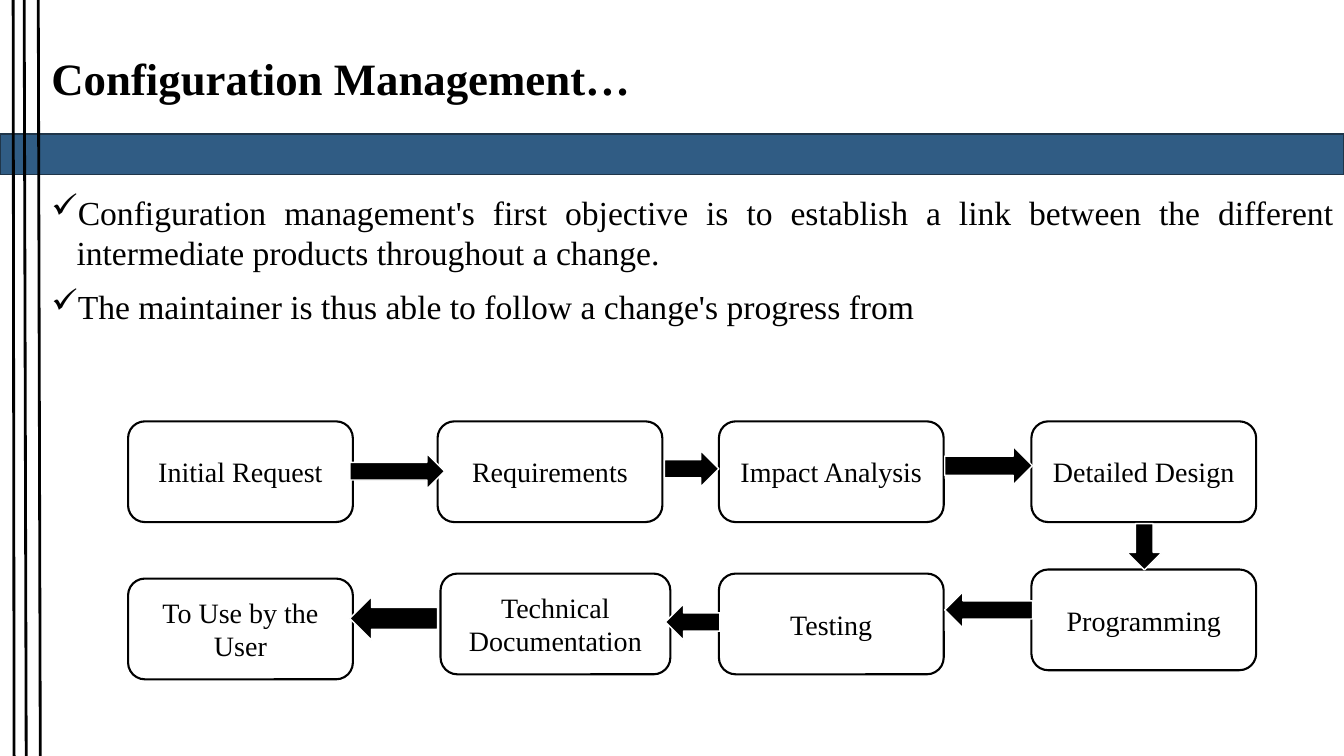
from lxml.etree import SubElement
from pptx import Presentation
from pptx.dml.color import RGBColor
from pptx.enum.shapes import MSO_CONNECTOR as Connector, MSO_SHAPE as Shape
from pptx.enum.text import MSO_ANCHOR as Anchor, PP_ALIGN as Align
from pptx.oxml.ns import qn
from pptx.util import Inches, Pt

WIDTH, HEIGHT = Inches(13.33), Inches(7.5)
FONT = "Times New Roman"
COLORS = {"ink": "000000", "paper": "FFFFFF", "band": "305C84", "band_edge": "1F3549"}

# All positions and sizes are percentages of the slide's width or height
COLUMNS = (9.53, 32.56, 53.49, 76.74)
REQUEST_ROW = 55.73
STAGE_WIDTH, STAGE_HEIGHT = 16.73, 13.33
TEXT_LEFT, TEXT_WIDTH = 3.08, 96.92

RULES = ((0.98, 1.05), (1.8, 1.95), (2.85, 3))  # x at top, x at bottom
OBJECTIVES = (
    "Configuration management's first objective is to establish a link between "
    "the different intermediate products throughout a change.",
    "The maintainer is thus able to follow a change's progress from",
)
REQUEST_STAGES = ("Initial Request", "Requirements", "Impact Analysis", "Detailed Design")
DELIVERY_STAGES = (  # text, left, top, width
    ("Programming", COLUMNS[3], 75.33, STAGE_WIDTH),
    ("Testing", COLUMNS[2], 75.87, STAGE_WIDTH),
    ("Technical Documentation", 32.78, 75.87, 17.1),
    ("To Use by the User", COLUMNS[0], 76.53, STAGE_WIDTH),
)
ARROWS = (  # left, top, width, height, rotation
    (26.03, 60, 7.05, 4.67, 0),
    (49.44, 59.6, 4.05, 4.8, 0),
    (70.29, 59.07, 6.53, 5.07, 0),
    (83.42, 70, 3.45, 4.67, 90),
    (70.29, 78.27, 6.53, 4.8, 180),
    (49.51, 79.87, 4.05, 4.8, 180),
    (26.03, 78.93, 6.53, 5.73, 180),
)


def color(name):
    return RGBColor.from_string(COLORS[name])


def x(share):
    return round(WIDTH * share / 100)


def y(share):
    return round(HEIGHT * share / 100)


def area(left, top, width, height):
    return x(left), y(top), x(width), y(height)


def add_block(slide, kind, box, fill, edge, edge_width=1):
    block = slide.shapes.add_shape(kind, *area(*box))
    block.shadow.inherit = False
    block.fill.solid()
    block.fill.fore_color.rgb = color(fill)
    block.line.color.rgb = color(edge)
    block.line.width = Pt(edge_width)
    return block


def add_run(paragraph, text, size, bold=False):
    run = paragraph.add_run()
    run.text = text
    run.font.name = FONT
    run.font.size = Pt(size)
    run.font.bold = bold
    run.font.color.rgb = color("ink")


def add_text_frame(slide, box, anchor):
    frame = slide.shapes.add_textbox(*area(*box)).text_frame
    frame.word_wrap = True
    frame.vertical_anchor = anchor
    return frame


def add_rule(slide, top_x, bottom_x):
    rule = slide.shapes.add_connector(Connector.STRAIGHT, x(top_x), 0, x(bottom_x), HEIGHT)
    rule.line.color.rgb = color("ink")
    rule.line.width = Pt(0)
    SubElement(rule._element.spPr, qn("a:effectLst"))


def add_objectives(slide):
    frame = add_text_frame(slide, (TEXT_LEFT, 24.67, TEXT_WIDTH, 75.33), Anchor.TOP)
    for index, objective in enumerate(OBJECTIVES):
        paragraph = frame.add_paragraph() if index else frame.paragraphs[0]
        paragraph.alignment = Align.JUSTIFY
        paragraph.space_before = Pt(10)
        add_run(paragraph, objective, 24)
        # Check-mark bullet with a hanging indent
        properties = paragraph._p.get_or_add_pPr()
        properties.set("marL", str(Inches(0.25)))
        properties.set("indent", str(-Inches(0.25)))
        SubElement(properties, qn("a:buChar")).set("char", "✓")


def add_stage(slide, text, left, top, width=STAGE_WIDTH):
    stage = add_block(slide, Shape.ROUNDED_RECTANGLE, (left, top, width, STAGE_HEIGHT),
                      "paper", "ink", 1.5)
    frame = stage.text_frame
    frame.word_wrap = True
    frame.vertical_anchor = Anchor.MIDDLE
    paragraph = frame.paragraphs[0]
    paragraph.alignment = Align.CENTER
    add_run(paragraph, text, 20)


def main():
    deck = Presentation()
    deck.slide_width, deck.slide_height = WIDTH, HEIGHT
    slide = deck.slides.add_slide(deck.slide_layouts[6])

    # Band and margin rules
    add_block(slide, Shape.RECTANGLE, (0, 17.73, 100, 5.33), "band", "band_edge")
    for top_x, bottom_x in RULES:
        add_rule(slide, top_x, bottom_x)

    # Title and objectives
    title = add_text_frame(slide, (TEXT_LEFT, 5.33, TEXT_WIDTH, 10), Anchor.MIDDLE)
    add_run(title.paragraphs[0], "Configuration Management…", 32, bold=True)
    add_objectives(slide)

    # Change process: stages, then the arrows over them
    for text, left in zip(REQUEST_STAGES, COLUMNS):
        add_stage(slide, text, left, REQUEST_ROW)
    for stage in DELIVERY_STAGES:
        add_stage(slide, *stage)
    for *box, rotation in ARROWS:
        arrow = add_block(slide, Shape.RIGHT_ARROW, box, "ink", "paper")
        arrow.rotation = rotation

    deck.save("out.pptx")


if __name__ == "__main__":
    main()
